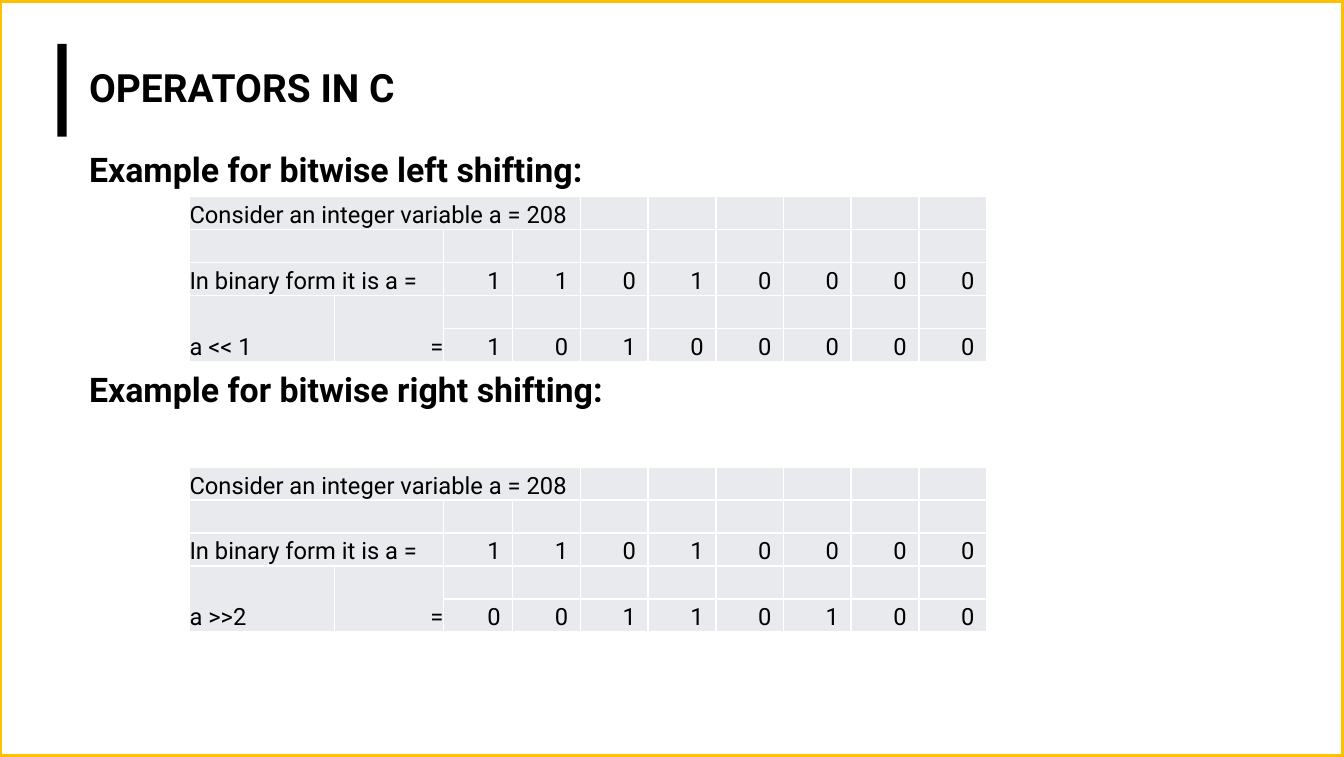
from collections import namedtuple
from dataclasses import dataclass

from pptx import Presentation
from pptx.dml.color import RGBColor
from pptx.enum.shapes import MSO_SHAPE as Preset
from pptx.enum.text import MSO_ANCHOR as Anchor, PP_ALIGN as Align
from pptx.oxml.xmlchemy import OxmlElement
from pptx.util import Pt

Box = namedtuple("Box", "left top width height")


@dataclass(frozen=True)
class Theme:
    """Colours, font and type sizes of the slide."""
    font: str = "Roboto"
    ink: RGBColor = RGBColor(0, 0, 0)
    paper: RGBColor = RGBColor(255, 255, 255)
    edge: RGBColor = RGBColor(0xFF, 0xC0, 0x00)
    cell: RGBColor = RGBColor(0xE8, 0xEA, 0xED)
    title: int = 23
    heading: int = 20
    table: int = 14


THEME = Theme()
COLUMNS = [85.5, 64.5, 41] + [40] * 7
ROW_HEIGHT = 19.5
MERGES = [(0, 0, 0, 3), (1, 0, 1, 1), (2, 0, 2, 1), (3, 0, 4, 0), (3, 1, 4, 1)]


def place(part, box):
    """Move a placeholder to the box."""
    part.left, part.top, part.width, part.height = map(Pt, box)


def write(paragraph, wording, size, bold=False):
    """Add one run in the theme font."""
    run = paragraph.add_run()
    run.text = wording
    run.font.name = THEME.font
    run.font.size = Pt(size)
    run.font.bold = bold
    run.font.color.rgb = THEME.ink


def set_margins(frame):
    """Give a text frame its standard insets."""
    frame.margin_left = frame.margin_right = Pt(7.2)
    frame.margin_top = frame.margin_bottom = Pt(3.6)
    frame.word_wrap = True


def add_block(slide, box, fill, edge=None):
    """Draw a rectangle behind the text."""
    block = slide.shapes.add_shape(Preset.RECTANGLE, *map(Pt, box))
    block.shadow.inherit = False
    block.fill.solid()
    block.fill.fore_color.rgb = fill
    if edge is None:
        block.line.fill.background()
    else:
        block.line.color.rgb = edge
        block.line.width = Pt(3)
    slide.shapes.title.element.addprevious(block.element)


def add_title(slide, box, wording):
    """Set the title with the black bar at its left."""
    add_block(slide, Box(box.left - 11.5, box.top, 5.5, box.height), THEME.ink)
    title = slide.shapes.title
    place(title, box)
    frame = title.text_frame
    set_margins(frame)
    frame.vertical_anchor = Anchor.MIDDLE
    line = frame.paragraphs[0]
    line.alignment = Align.LEFT
    line.line_spacing = 0.9
    write(line, wording, THEME.title, bold=True)


def add_headings(slide, box, headings, gap):
    """Set the section headings, leaving a gap for each table."""
    body = slide.placeholders[1]
    place(body, box)
    frame = body.text_frame
    set_margins(frame)
    frame.vertical_anchor = Anchor.TOP
    for index, heading in enumerate(headings):
        line = frame.add_paragraph() if index else frame.paragraphs[0]
        properties = line._p.get_or_add_pPr()
        properties.set("marL", "0")
        properties.set("indent", "0")
        properties.append(OxmlElement("a:buNone"))
        line.alignment = Align.JUSTIFY
        line.line_spacing = 0.9
        line.space_before = Pt(gap if index else 0)
        write(line, heading, THEME.heading, bold=True)


def add_borders(cell):
    """Give a cell thin white borders on all sides."""
    properties = cell._tc.get_or_add_tcPr()
    for side in ("a:lnL", "a:lnR", "a:lnT", "a:lnB"):
        border = OxmlElement(side)
        border.set("w", str(Pt(1)))
        solid = OxmlElement("a:solidFill")
        colour = OxmlElement("a:srgbClr")
        colour.set("val", str(THEME.paper))
        solid.append(colour)
        border.append(solid)
        properties.append(border)


def fill_cell(cell, wording, align, inset):
    """Format a cell and write its wording."""
    add_borders(cell)
    cell.fill.solid()
    cell.fill.fore_color.rgb = THEME.cell
    cell.margin_left = cell.margin_top = cell.margin_bottom = 0
    cell.margin_right = Pt(inset)
    cell.vertical_anchor = Anchor.BOTTOM
    line = cell.text_frame.paragraphs[0]
    if wording:
        line.alignment = align
        line.line_spacing = 1.15
        line.space_after = Pt(10)
        write(line, wording, THEME.table)
    else:
        ending = OxmlElement("a:endParaRPr")
        ending.set("sz", str(THEME.table * 100))
        line._p.append(ending)


def add_shift_table(slide, box, operation, bits, shifted):
    """Show a number in binary before and after a shift."""
    wordings = {(0, 0): "Consider an integer variable a = 208",
                (2, 0): "In binary form it is a =",
                (3, 0): operation, (3, 1): "="}
    for row, digits in ((2, bits), (4, shifted)):
        wordings.update({(row, column): digit for column, digit in enumerate(digits, 2)})
    table = slide.shapes.add_table(5, len(COLUMNS), *map(Pt, box)).table
    table.first_row = table.horz_banding = False
    for column, width in zip(table.columns, COLUMNS):
        column.width = Pt(width)
    for row in table.rows:
        row.height = Pt(ROW_HEIGHT)
    for top, left, bottom, right in MERGES:
        table.cell(top, left).merge(table.cell(bottom, right))
    for row in range(5):
        for column in range(len(COLUMNS)):
            fill_cell(table.cell(row, column), wordings.get((row, column)),
                      Align.RIGHT if column else Align.LEFT, 7.2 if column > 1 else 0)


def main():
    """Build and save the slide."""
    deck = Presentation()
    page = Box(0, 0, 794.16, 447.12)
    deck.slide_width, deck.slide_height = Pt(page.width), Pt(page.height)
    slide = deck.slides.add_slide(deck.slide_layouts[1])
    add_block(slide, page, THEME.paper, THEME.edge)
    add_title(slide, Box(45.4, 26, 404.6, 54.7), "OPERATORS IN C")
    add_headings(slide, Box(45.4, 87.1, 703.4, 343.4),
                 ["Example for bitwise left shifting:", "Example for bitwise right shifting:"], 108)
    for top, operation, shifted in ((116, "a << 1", "10100000"), (275.8, "a >>2", "00110100")):
        add_shift_table(slide, Box(112, top, sum(COLUMNS), 5 * ROW_HEIGHT),
                        operation, "11010000", shifted)
    deck.save("out.pptx")


if __name__ == "__main__":
    main()
